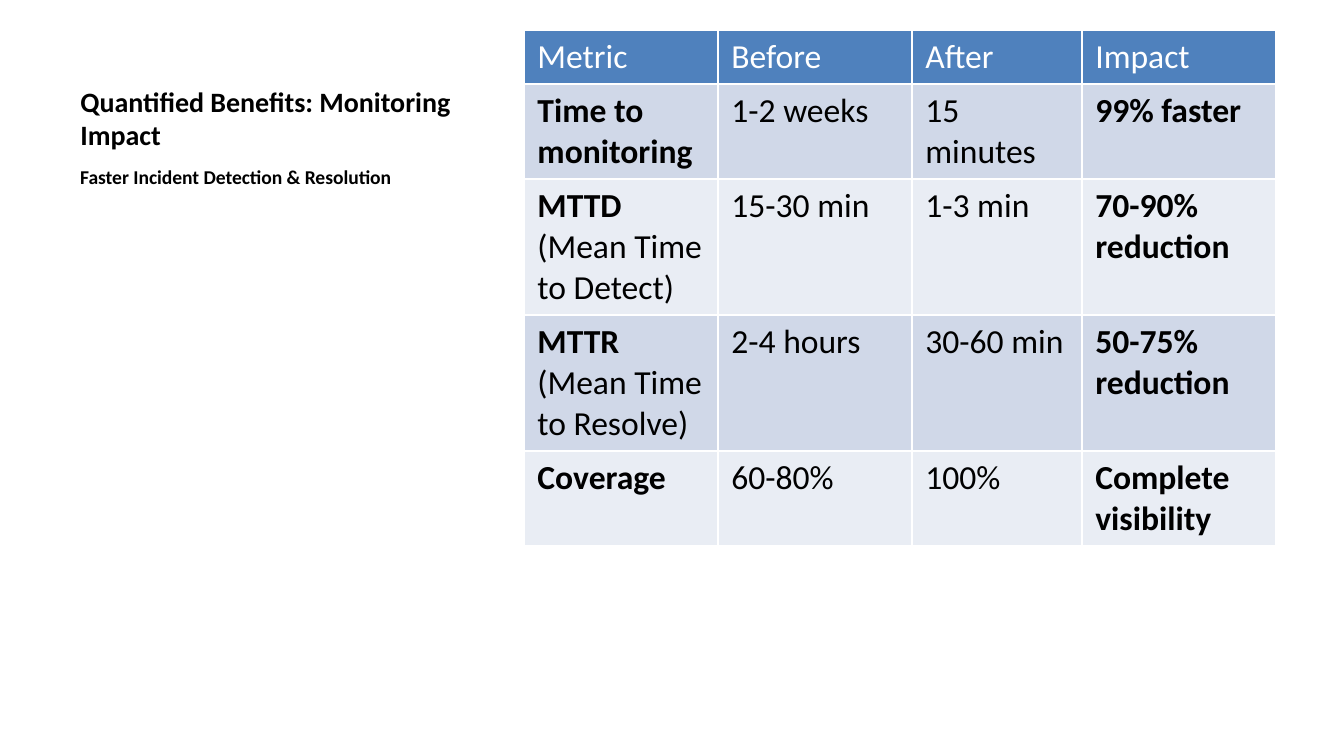
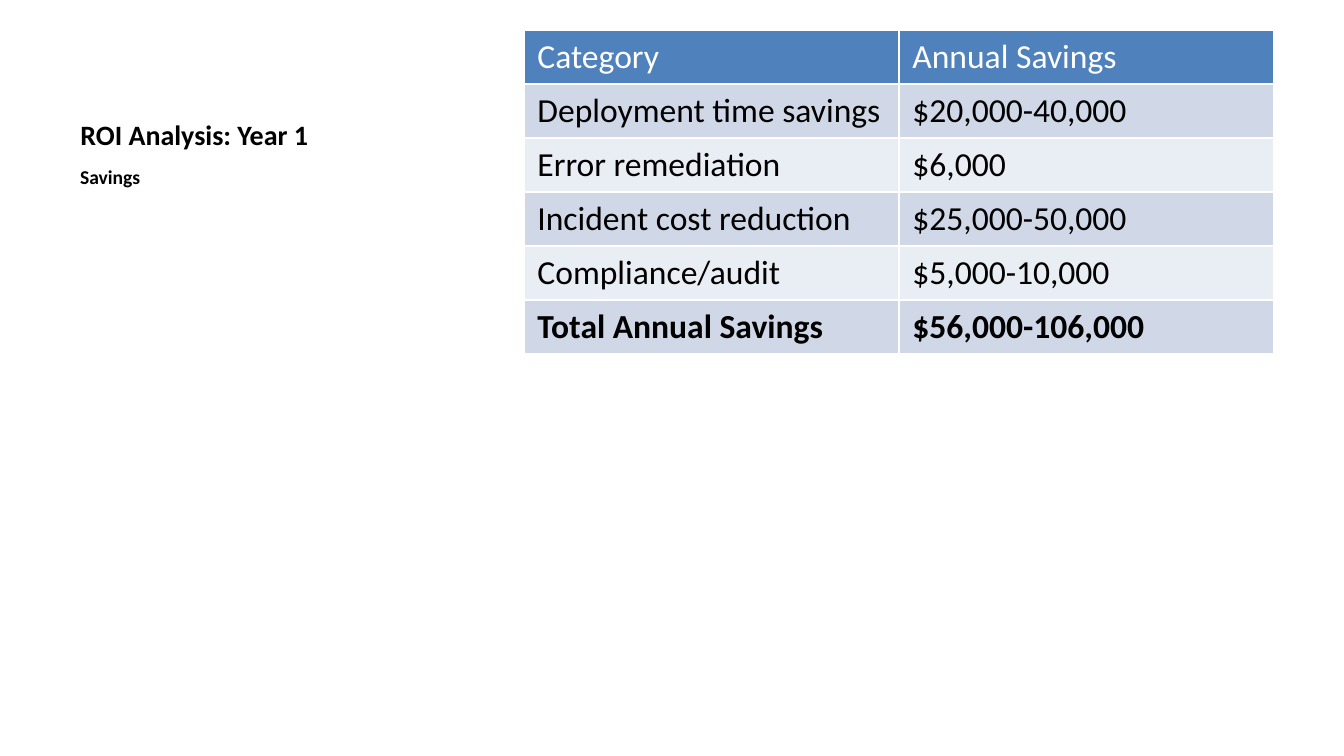
"""Build two benefit slides, each with a heading and caption beside a table."""
from pptx import Presentation
from pptx.dml.color import RGBColor as RGB
from pptx.enum.text import MSO_ANCHOR as ANCHOR, PP_ALIGN as ALIGN
from pptx.util import Pt

SCALE = 914400 / 134.4
BLACK, WHITE, HEADER = "000000", "FFFFFF", "4F81BD"
BANDS = ["D0D8E8", "E9EDF4"]
ROW_PAD, LINE = 13, 41


def px(n):
    return round(n * SCALE)


def write(p, text, size, color):
    for i, part in enumerate(text.split("*")):
        if part:
            r = p.add_run()
            r.text = part
            fmt = {"name": "Calibri", "size": Pt(size), "bold": i % 2 == 1}
            for key, value in fmt.items():
                setattr(r.font, key, value)
            r.font.color.rgb = RGB.from_string(color)


slides = [
    {
        "title": "*Quantified Benefits: Monitoring Impact*",
        "caption": "*Faster Incident Detection & Resolution*",
        "cols": [194, 194, 170, 194],
        "lines": [1, 2, 3, 3, 2],
        "rows": [
            ["Metric", "Before", "After", "Impact"],
            ["*Time to monitoring*", "1-2 weeks", "15 minutes", "*99% faster*"],
            ["*MTTD* (Mean Time to Detect)", "15-30 min", "1-3 min", "*70-90% reduction*"],
            ["*MTTR* (Mean Time to Resolve)", "2-4 hours", "30-60 min", "*50-75% reduction*"],
            ["*Coverage*", "60-80%", "100%", "*Complete visibility*"],
        ],
    },
    {
        "title": "*ROI Analysis: Year 1*",
        "caption": "*Savings*",
        "cols": [375, 375],
        "lines": [1] * 6,
        "rows": [
            ["Category", "Annual Savings"],
            ["Deployment time savings", "$20,000-40,000"],
            ["Error remediation", "$6,000"],
            ["Incident cost reduction", "$25,000-50,000"],
            ["Compliance/audit", "$5,000-10,000"],
            ["*Total Annual Savings*", "*$56,000-106,000*"],
        ],
    },
]

prs = Presentation()
prs.slide_width, prs.slide_height = px(1344), px(756)

for data in slides:
    s = prs.slides.add_slide(prs.slide_layouts[5])

    title = s.shapes.title
    box = {"left": 67, "top": 30, "width": 442, "height": 128}
    for key, value in box.items():
        setattr(title, key, px(value))
    caption = s.shapes.add_textbox(px(67), px(158), px(442), px(517))

    for sp, name, size, anchor in [
        (title, "title", 15, ANCHOR.BOTTOM),
        (caption, "caption", 10.5, ANCHOR.TOP),
    ]:
        tf = sp.text_frame
        tf.word_wrap = True
        tf.vertical_anchor = anchor
        p = tf.paragraphs[0]
        p.alignment = ALIGN.LEFT
        write(p, data[name], size, BLACK)

    rows, cols = data["rows"], data["cols"]
    heights = [ROW_PAD + LINE * n for n in data["lines"]]
    table = s.shapes.add_table(
        len(rows), len(cols), px(524), px(30), px(sum(cols)), px(sum(heights))
    ).table
    for col, width in zip(table.columns, cols):
        col.width = px(width)
    for i, (row, height) in enumerate(zip(rows, heights)):
        table.rows[i].height = px(height)
        fill = BANDS[(i - 1) % 2] if i else HEADER
        for j, text in enumerate(row):
            cell = table.cell(i, j)
            cell.fill.solid()
            cell.fill.fore_color.rgb = RGB.from_string(fill)
            write(cell.text_frame.paragraphs[0], text, 18, BLACK if i else WHITE)

prs.save("out.pptx")
